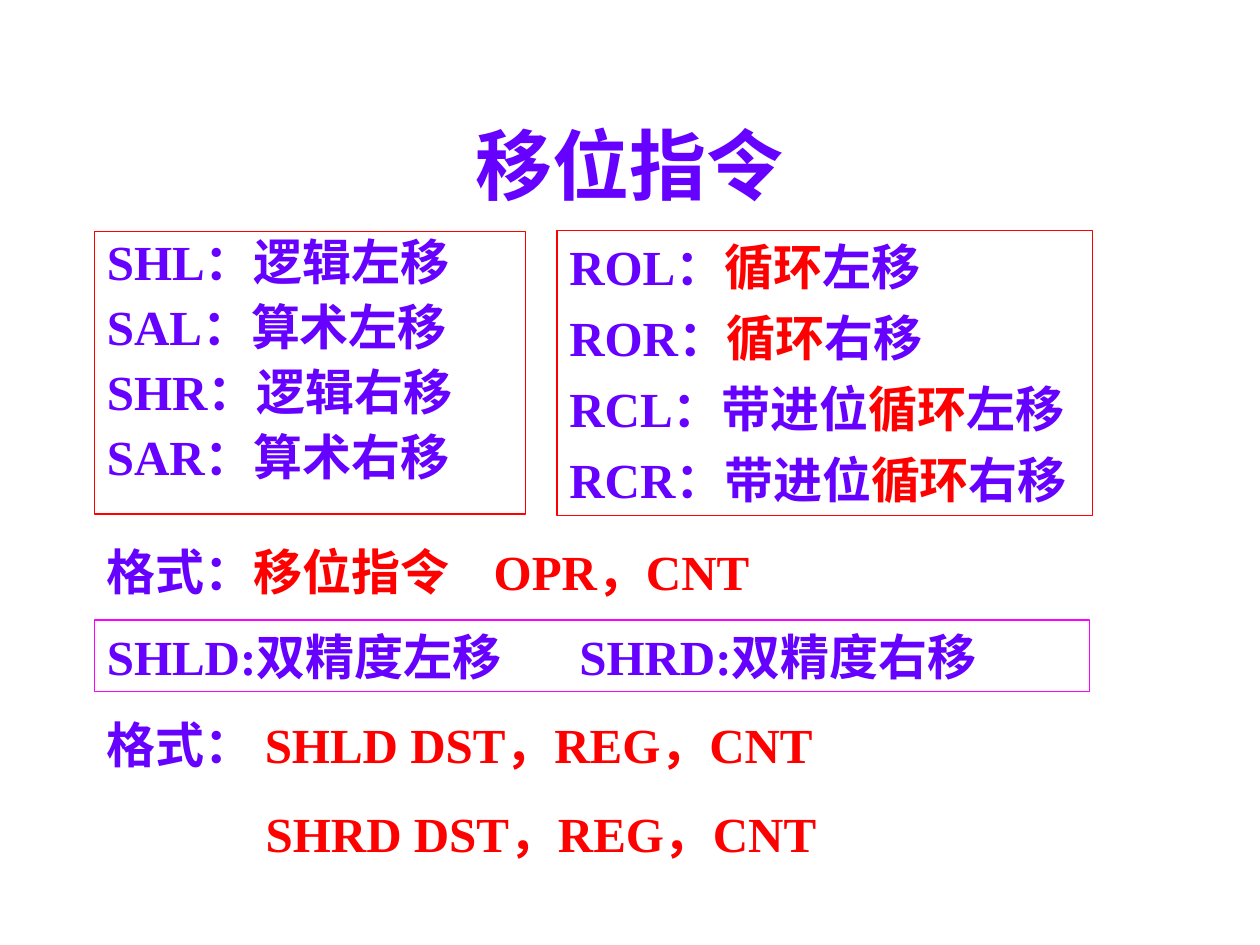
from lxml import etree
from pptx import Presentation
from pptx.dml.color import RGBColor
from pptx.enum import shapes, text
from pptx.oxml.ns import qn
from pptx.util import Inches, Pt

VIOLET = RGBColor(0x66, 0x00, 0xFF)
RED = RGBColor(0xFF, 0x00, 0x00)
MAGENTA = RGBColor(0xFF, 0x00, 0xFF)
FONT = "Times New Roman"
LEFT = 0.75
JUSTIFY = text.PP_ALIGN.JUSTIFY

SHIFTS = [
    [("SHL：逻辑左移", VIOLET)],
    [("SAL：算术左移", VIOLET)],
    [("SHR：逻辑右移", VIOLET)],
    [("SAR：算术右移", VIOLET)],
]
ROTATES = [
    [(start, VIOLET), ("循环", RED), (end, VIOLET)]
    for start, end in [("ROL：", "左移"), ("ROR：", "右移"),
                       ("RCL：带进位", "左移"), ("RCR：带进位", "右移")]
]
SHIFT_FORMAT = [[("格式：", VIOLET), ("移位指令\tOPR，CNT", RED)]]
DOUBLE_SHIFTS = [[("SHLD:双精度左移\tSHRD:双精度右移", VIOLET)]]
DOUBLE_FORMAT = [
    [("格式： ", VIOLET), ("SHLD DST，REG，CNT", RED)],
    [("SHRD DST，REG，CNT", RED)],
]


def fill_text(shape, lines, size=28, anchor=text.MSO_ANCHOR.TOP, **paragraph_format):
    """Write lines of (wording, colour) runs into the shape."""
    frame = shape.text_frame
    frame.word_wrap = True
    frame.vertical_anchor = anchor
    for index, line in enumerate(lines):
        paragraph = frame.paragraphs[0] if index == 0 else frame.add_paragraph()
        for name, value in paragraph_format.items():
            setattr(paragraph, name, value)
        for wording, colour in line:
            run = paragraph.add_run()
            run.text = wording
            run.font.color.rgb = colour
            for name, value in {"name": FONT, "size": Pt(size), "bold": True}.items():
                setattr(run.font, name, value)


def add_text(slide, box, lines, **formats):
    shape = slide.shapes.add_textbox(*map(Inches, box))
    fill_text(shape, lines, **formats)
    return shape


def add_frame(slide, box, lines, colour, **formats):
    """Add an unfilled rectangle with a thin outline and justified text."""
    shape = slide.shapes.add_shape(shapes.MSO_SHAPE.RECTANGLE, *map(Inches, box))
    shape.shadow.inherit = False
    shape.fill.background()
    shape.line.color.rgb = colour
    shape.line.width = Pt(0.75)
    fill_text(shape, lines, alignment=JUSTIFY, space_before=Pt(7), **formats)
    return shape


def set_tab(shape, position):
    """Give the first paragraph one left tab stop."""
    properties = shape.text_frame.paragraphs[0]._p.get_or_add_pPr()
    tabs = etree.SubElement(properties, qn("a:tabLst"))
    etree.SubElement(tabs, qn("a:tab"), pos=str(Inches(position)), algn="l")


def main():
    presentation = Presentation()
    presentation.slide_width = Inches(10)
    presentation.slide_height = Inches(7.5)
    slide = presentation.slides.add_slide(presentation.slide_layouts[6])

    add_text(slide, (LEFT, 0.67, 8.5, 1.25), [[("移位指令", VIOLET)]], size=44,
             anchor=text.MSO_ANCHOR.MIDDLE, alignment=text.PP_ALIGN.CENTER)
    add_frame(slide, (LEFT, 1.84, 3.42, 2.24), SHIFTS, RED, line_spacing=0.9)
    add_frame(slide, (4.42, 1.83, 4.25, 2.26), ROTATES, RED)

    shift_format = add_text(slide, (LEFT, 4.25, 6.92, 0.57), SHIFT_FORMAT,
                            space_before=Pt(17.5))
    set_tab(shift_format, 3.07)
    double_shifts = add_frame(slide, (LEFT, 4.92, 7.9, 0.57), DOUBLE_SHIFTS, MAGENTA)
    set_tab(double_shifts, 3.75)

    double_format = add_text(slide, (LEFT, 5.62, 7.25, 1.28), DOUBLE_FORMAT,
                             space_before=Pt(17.5))
    second_line = double_format.text_frame.paragraphs[1]._p.get_or_add_pPr()
    second_line.set("marL", str(Inches(1.26)))

    presentation.save("out.pptx")


if __name__ == "__main__":
    main()
